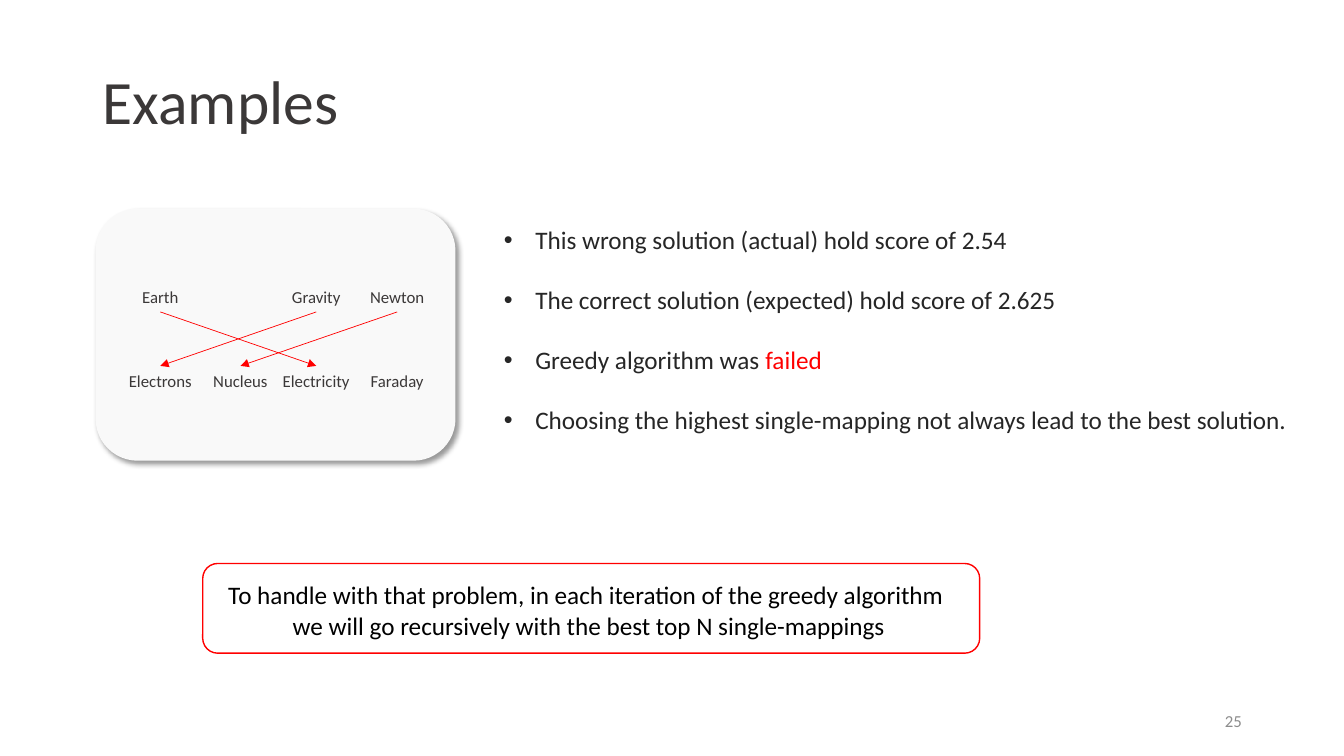
from dataclasses import dataclass
from lxml.etree import SubElement
from pptx import Presentation
from pptx.dml.color import RGBColor
from pptx.enum.shapes import MSO_CONNECTOR, MSO_SHAPE
from pptx.enum.text import MSO_ANCHOR, PP_ALIGN
from pptx.oxml.ns import qn
from pptx.util import Cm, Pt

HUES = {"panel": "F9F9F9", "slate": "3B3838", "ink": "262626", "red": "FF0000",
        "black": "000000", "gray": "8C8C8C"}
COLS = (4.04, 6.06, 7.97, 10.01)
TOP, LOW = 7.1, 9.22
TIP, END = 7.86, 9.22


@dataclass
class Box:
    left: float
    top: float
    width: float
    height: float

    def place(self) -> tuple:
        return tuple(Cm(v) for v in (self.left, self.top, self.width, self.height))


@dataclass
class Style:
    size: float
    hue: str
    align: PP_ALIGN = PP_ALIGN.LEFT
    anchor: MSO_ANCHOR = MSO_ANCHOR.TOP
    wrap: bool = False
    lead: float = 1.0
    gap: float = 0
    bullet: bool = False


@dataclass
class Word:
    text: str
    col: int
    top: float


@dataclass
class Arrow:
    start: int
    stop: int


def color(hue: str) -> RGBColor:
    return RGBColor.from_string(HUES[hue])


def apply(target: object, values: dict) -> None:
    for name, value in values.items():
        setattr(target, name, value)


def add_text(slide, box: Box, lines: list, style: Style) -> None:
    """Write lines, each a list of (text, hue) runs; no hue means the style's."""
    frame = slide.shapes.add_textbox(*box.place()).text_frame
    apply(frame, {"word_wrap": style.wrap, "vertical_anchor": style.anchor})
    for i, runs in enumerate(lines):
        para = frame.paragraphs[0] if i == 0 else frame.add_paragraph()
        apply(para, {"alignment": style.align, "line_spacing": style.lead,
                     "space_before": Pt(style.gap if i else 0)})
        if style.bullet:
            props = para._p.get_or_add_pPr()
            props.set("marL", str(Cm(0.79)))
            props.set("indent", str(-Cm(0.79)))
            SubElement(props, qn("a:buFont"), typeface="Arial")
            SubElement(props, qn("a:buChar"), char="•")
        for text, hue in runs:
            run = para.add_run()
            run.text = text
            apply(run.font, {"name": "Calibri", "size": Pt(style.size)})
            run.font.color.rgb = color(hue or style.hue)


def add_panel(slide, box: Box) -> None:
    panel = slide.shapes.add_shape(MSO_SHAPE.ROUNDED_RECTANGLE, *box.place())
    panel.shadow.inherit = False
    panel.fill.solid()
    panel.fill.fore_color.rgb = color("panel")
    panel.line.fill.background()
    effects = panel._element.spPr.find(qn("a:effectLst"))
    shade = SubElement(effects, qn("a:outerShdw"), blurRad=str(Pt(4)),
                       dist=str(Pt(3)), dir="2700000", algn="tl", rotWithShape="0")
    tint = SubElement(shade, qn("a:srgbClr"), val=HUES["black"])
    SubElement(tint, qn("a:alpha"), val="40000")


def add_frame(slide, box: Box) -> None:
    frame = slide.shapes.add_shape(MSO_SHAPE.ROUNDED_RECTANGLE, *box.place())
    frame.shadow.inherit = False
    frame.fill.background()
    frame.line.color.rgb = color("red")
    frame.line.width = Pt(1)


def add_arrow(slide, arrow: Arrow) -> None:
    link = slide.shapes.add_connector(MSO_CONNECTOR.STRAIGHT, Cm(COLS[arrow.start]), Cm(TIP),
                                      Cm(COLS[arrow.stop]), Cm(END))
    link.line.color.rgb = color("red")
    link.line.width = Pt(0.5)
    SubElement(link.line._get_or_add_ln(), qn("a:tailEnd"), type="triangle")
    SubElement(link._element.spPr, qn("a:effectLst"))


WORDS = [Word("Earth", 0, TOP), Word("Gravity", 2, TOP), Word("Newton", 3, TOP),
         Word("Electrons", 0, LOW), Word("Nucleus", 1, LOW),
         Word("Electricity", 2, LOW), Word("Faraday", 3, LOW)]
ARROWS = [Arrow(0, 2), Arrow(2, 0), Arrow(3, 1)]
POINTS = [
    [("This wrong solution (actual) hold score of 2.54", None)],
    [("The correct solution (expected) hold score of 2.625", None)],
    [("Greedy algorithm was ", None), ("failed", "red")],
    [("Choosing the highest single-mapping not always lead to the best solution.", None)],
]
REMEDY = [
    [("To handle with that problem, in each iteration of the greedy algorithm ", None)],
    [("we will go recursively with the best top N single-mappings", None)],
]


def main() -> None:
    deck = Presentation()
    apply(deck, {"slide_width": Cm(33.87), "slide_height": Cm(19.05)})
    slide = deck.slides.add_slide(deck.slide_layouts[6])
    add_panel(slide, Box(2.41, 5.26, 9.07, 6.35))
    add_text(slide, Box(2.34, 0.79, 29.21, 3.68), [[("Examples", None)]],
             Style(44, "slate", anchor=MSO_ANCHOR.MIDDLE, wrap=True, lead=0.9))
    add_text(slide, Box(23.93, 17.65, 7.62, 1.02), [[("25", None)]],
             Style(12, "gray", PP_ALIGN.RIGHT, MSO_ANCHOR.MIDDLE, True))
    label = Style(12, "slate", PP_ALIGN.CENTER)
    for word in WORDS:
        add_text(slide, Box(COLS[word.col] - 1.1, word.top, 2.2, 0.76),
                 [[(word.text, None)]], label)
    for arrow in ARROWS:
        add_arrow(slide, arrow)
    add_text(slide, Box(12.45, 5.54, 20.47, 5.64), POINTS,
             Style(18, "ink", gap=21.2, bullet=True))
    add_text(slide, Box(5.38, 14.48, 18.92, 1.8), REMEDY,
             Style(18, "black", PP_ALIGN.CENTER))
    add_frame(slide, Box(5.11, 14.2, 19.58, 2.26))
    deck.save("out.pptx")


if __name__ == "__main__":
    main()
